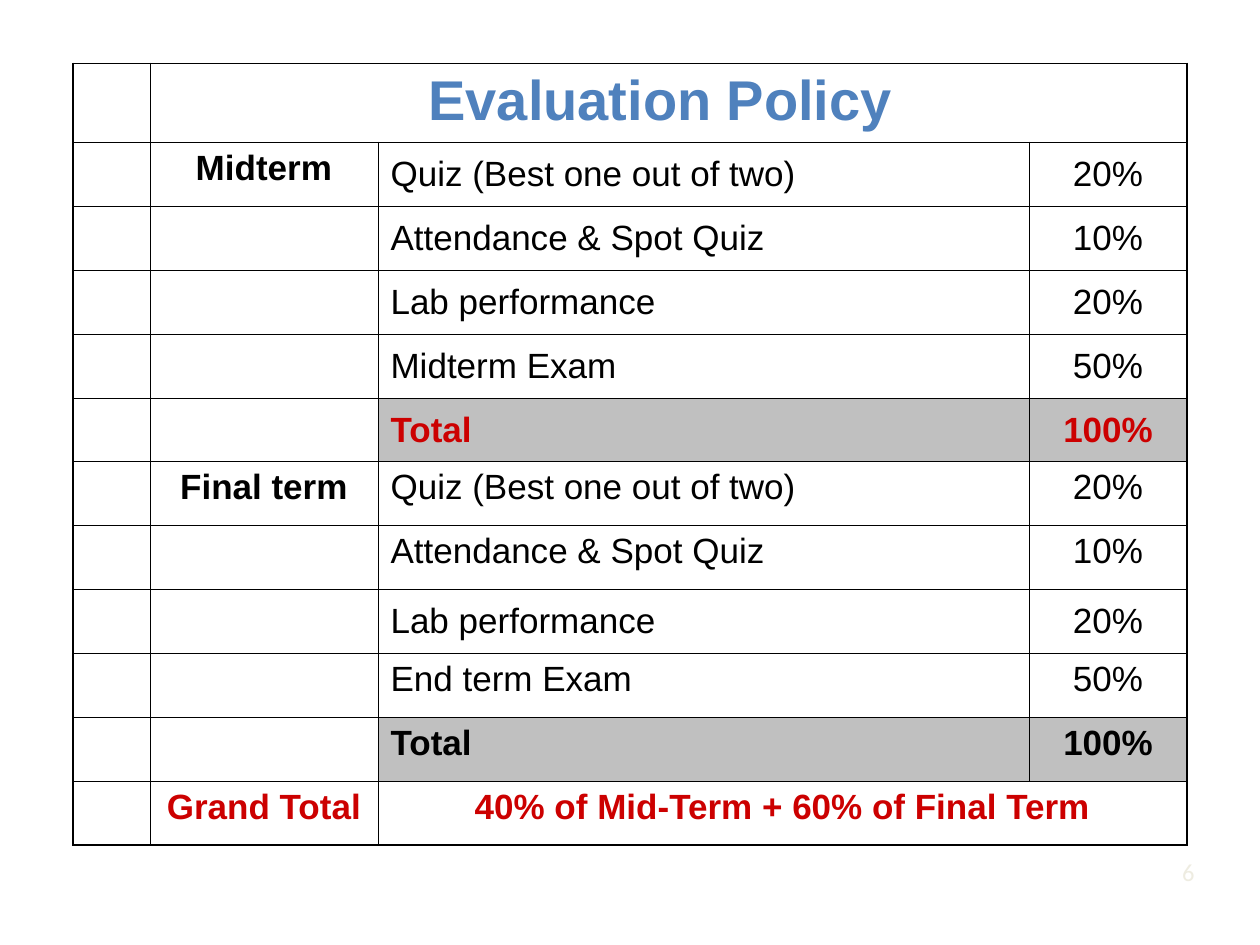
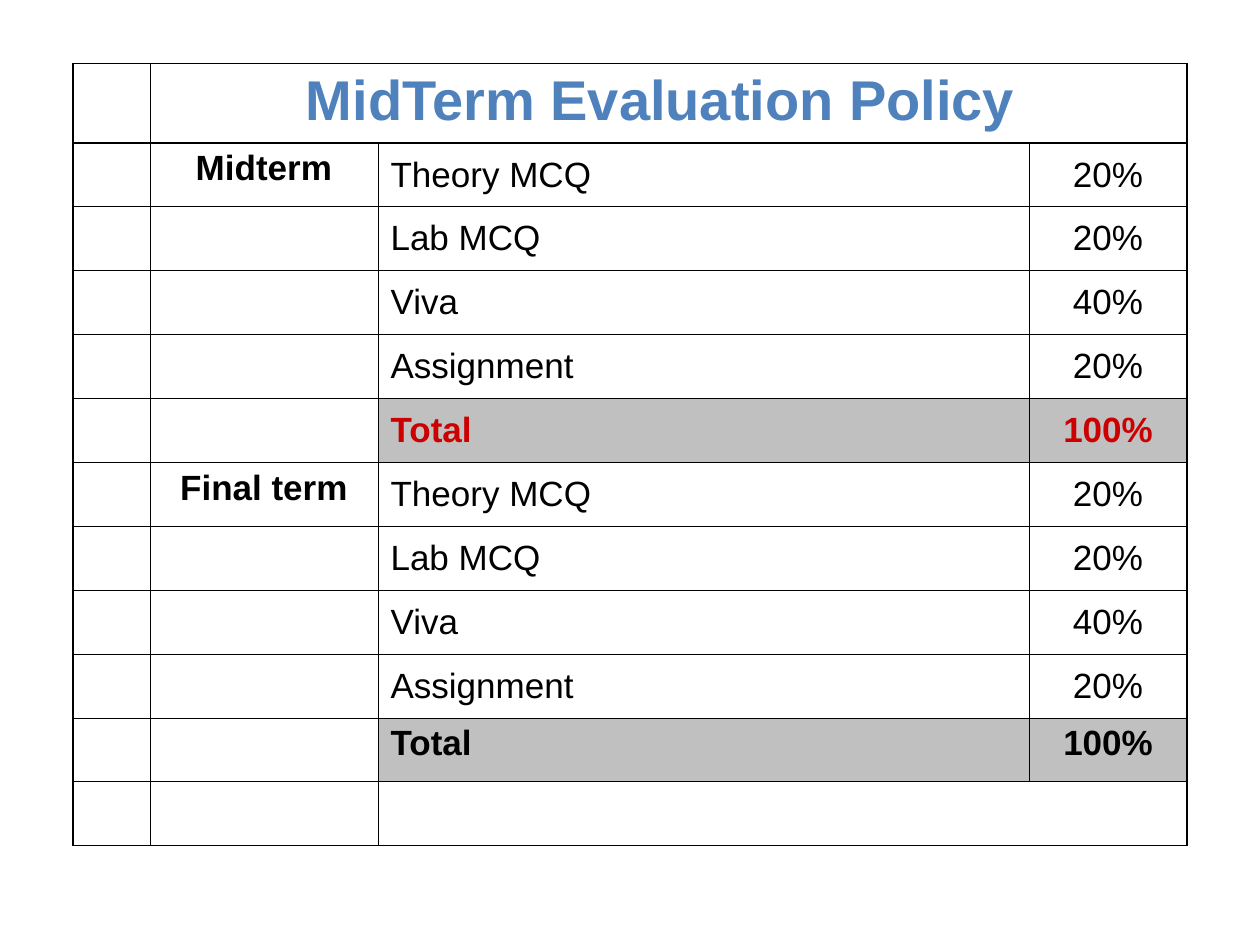
from lxml import etree
from pptx import Presentation
from pptx.dml.color import RGBColor
from pptx.enum.text import MSO_ANCHOR, PP_ALIGN
from pptx.oxml.ns import qn
from pptx.util import Inches, Pt

LEFT, CENTER, RIGHT = PP_ALIGN.LEFT, PP_ALIGN.CENTER, PP_ALIGN.RIGHT
TOP, MIDDLE = MSO_ANCHOR.TOP, MSO_ANCHOR.MIDDLE

BLACK = RGBColor(0x00, 0x00, 0x00)
TITLE_BLUE = RGBColor(0x4F, 0x81, 0xBD)
RED = RGBColor(0xCC, 0x00, 0x00)
TOTAL_GRAY = RGBColor(0xC0, 0xC0, 0xC0)
PALE = RGBColor(0xEE, 0xEC, 0xE1)

FONT = "Arial"
THIN, THICK = Pt(0.45), Pt(0.96)
HANGING = Inches(0.38)
TABLE_BOX = (0.58, 0.5, 8.84, 6.21)
COLUMN_WIDTHS = (0.61, 1.81, 5.17, 1.25)
HEADER_HEIGHT = 0.63
TERM_ROWS = 5
ROW_COUNT = 2 + 2 * TERM_ROWS

# Each item: label, share, vertical anchor
EVALUATION_TERMS = (
    ("Midterm", (
        ("Quiz (Best one out of two)", "20%", MIDDLE),
        ("Attendance & Spot Quiz", "10%", MIDDLE),
        ("Lab performance", "20%", MIDDLE),
        ("Midterm Exam", "50%", MIDDLE),
        ("Total", "100%", MIDDLE)), RED),
    ("Final term", (
        ("Quiz (Best one out of two)", "20%", TOP),
        ("Attendance & Spot Quiz", "10%", TOP),
        ("Lab performance", "20%", MIDDLE),
        ("End term Exam", "50%", TOP),
        ("Total", "100%", TOP)), BLACK),
)
MIDTERM_PARTS = (
    ("Theory MCQ", "20%", MIDDLE),
    ("Lab MCQ", "20%", MIDDLE),
    ("Viva", "40%", MIDDLE),
    ("Assignment", "20%", MIDDLE),
)
MIDTERM_TERMS = (
    ("Midterm", MIDTERM_PARTS + (("Total", "100%", MIDDLE),), RED),
    ("Final term", MIDTERM_PARTS + (("Total", "100%", TOP),), BLACK),
)


def write_cell(cell, text, align=CENTER, anchor=TOP, size=20, color=BLACK, bold=True):
    cell.vertical_anchor = anchor
    paragraph = cell.text_frame.paragraphs[0]
    paragraph.text = text
    paragraph.alignment = align
    font = paragraph.font
    font.name, font.size, font.bold = FONT, Pt(size), bold
    font.color.rgb = color
    properties = paragraph._p.get_or_add_pPr()
    properties.set("marL", str(HANGING))
    properties.set("indent", str(-HANGING))


def set_borders(cell, widths):
    """Draw the left, right, top and bottom borders of a cell."""
    properties = cell._tc.get_or_add_tcPr()
    for index, (side, width) in enumerate(zip("LRTB", widths)):
        line = etree.Element(qn(f"a:ln{side}"), w=str(width))
        fill = etree.SubElement(line, qn("a:solidFill"))
        etree.SubElement(fill, qn("a:srgbClr"), val=str(BLACK))
        properties.insert(index, line)


def style_grid(table):
    last_row, last_column = ROW_COUNT - 1, len(COLUMN_WIDTHS) - 1
    for row in range(ROW_COUNT):
        for column in range(last_column + 1):
            cell = table.cell(row, column)
            cell.fill.background()
            if cell.is_spanned:
                continue
            end = column + (cell.span_width if cell.is_merge_origin else 1) - 1
            set_borders(cell, (
                THICK if column == 0 else THIN,
                THICK if end == last_column else THIN,
                THICK if row == 1 else THIN,
                THICK if row in (0, last_row) else THIN))


def fill_term(table, first_row, name, items, total_color):
    write_cell(table.cell(first_row, 1), name)
    for row, (label, share, anchor) in enumerate(items, first_row):
        is_total = row == first_row + TERM_ROWS - 1
        color = total_color if is_total else BLACK
        for column, text, align in ((2, label, LEFT), (3, share, CENTER)):
            cell = table.cell(row, column)
            write_cell(cell, text, align, anchor, color=color, bold=is_total)
            if is_total:
                cell.fill.solid()
                cell.fill.fore_color.rgb = TOTAL_GRAY


def add_policy_table(slide, box, title, terms, grand_total=None):
    left, top, width, height = box
    table = slide.shapes.add_table(
        ROW_COUNT, len(COLUMN_WIDTHS),
        Inches(left), Inches(top), Inches(width), Inches(height)).table
    table.first_row = table.horz_banding = False
    for column, column_width in zip(table.columns, COLUMN_WIDTHS):
        column.width = Inches(column_width)
    for row in table.rows:
        row.height = Inches((height - HEADER_HEIGHT) / (ROW_COUNT - 1))
    table.rows[0].height = Inches(HEADER_HEIGHT)

    # Merged title and grand total cells
    last_row = ROW_COUNT - 1
    table.cell(0, 1).merge(table.cell(0, 3))
    table.cell(last_row, 2).merge(table.cell(last_row, 3))
    style_grid(table)

    write_cell(table.cell(0, 1), title, size=32, color=TITLE_BLUE)
    for index, term in enumerate(terms):
        fill_term(table, 1 + index * TERM_ROWS, *term)
    if grand_total:
        for column, text in enumerate(grand_total, 1):
            write_cell(table.cell(last_row, column), text, color=RED)


def add_page_number(slide, box, number):
    shape = slide.shapes.add_textbox(*(Inches(length) for length in box))
    frame = shape.text_frame
    frame.word_wrap = True
    frame.vertical_anchor = MIDDLE
    paragraph = frame.paragraphs[0]
    paragraph.text = number
    paragraph.alignment = RIGHT
    paragraph.font.size = Pt(14)
    paragraph.font.color.rgb = PALE


def main():
    presentation = Presentation()
    presentation.slide_width = Inches(10)
    presentation.slide_height = Inches(7.5)
    blank = presentation.slide_layouts[6]

    # Overall evaluation policy
    slide = presentation.slides.add_slide(blank)
    add_policy_table(slide, TABLE_BOX, "Evaluation Policy ", EVALUATION_TERMS,
                     ("Grand Total", "40% of Mid-Term + 60% of Final Term"))
    add_page_number(slide, (8.58, 6.72, 1, 0.4), "6")

    # Midterm evaluation policy
    slide = presentation.slides.add_slide(blank)
    add_policy_table(slide, TABLE_BOX, "MidTerm Evaluation Policy ", MIDTERM_TERMS)

    presentation.save("out.pptx")


if __name__ == "__main__":
    main()
